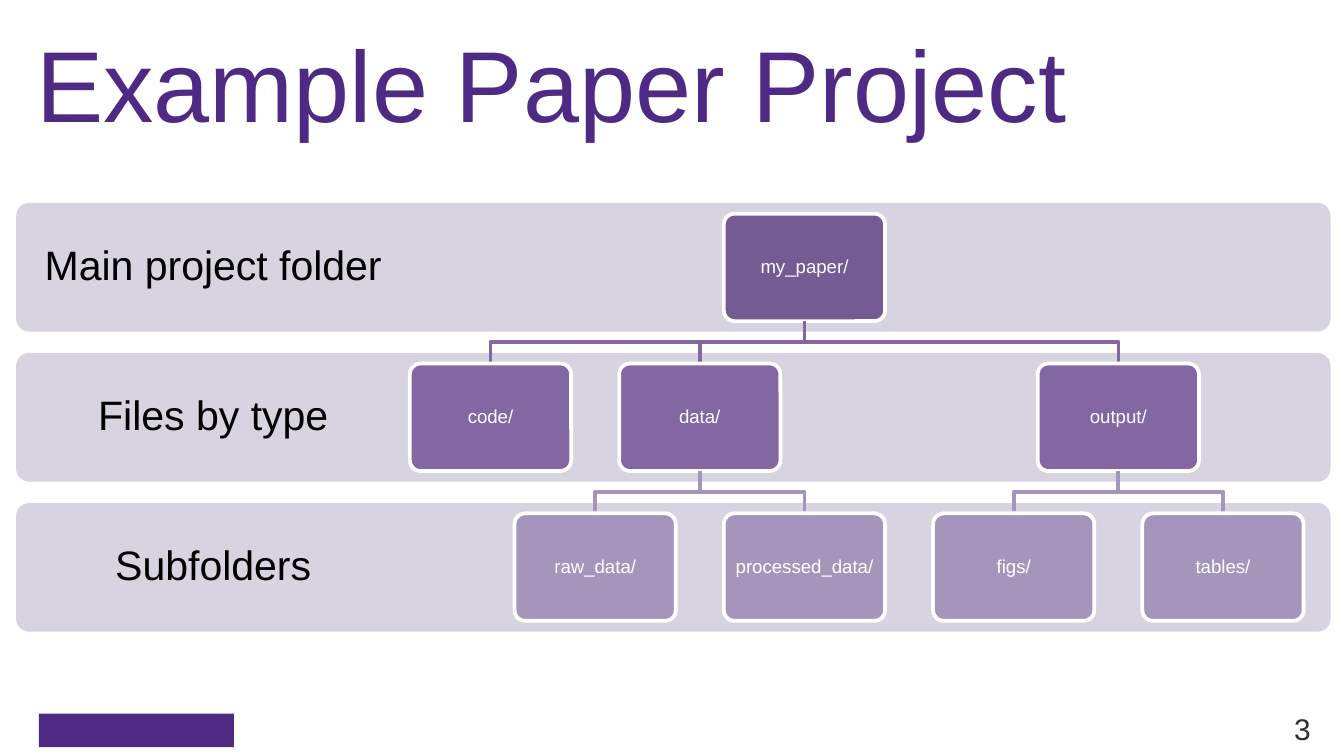
import pptx
import pptx.dml.color
import pptx.enum.shapes
import pptx.enum.text
import pptx.util

COLORS = {
    "brand": "4E2A84", "band": "D8D3E0", "number": "342F2E",
    "label": "000000", "white": "FFFFFF",
}
LEVEL_COLORS = ["745B93", "8267A3", "A496BA"]
FONT = "Arial"
SLIDE_WIDTH = 10
SLIDE_HEIGHT = SLIDE_WIDTH * 9 / 16

LEVELS = ["Main project folder", "Files by type", "Subfolders"]
PROJECT = ("my_paper/", 3, [
    ("code/", 0, []),
    ("data/", 2, [("raw_data/", 1, []), ("processed_data/", 3, [])]),
    ("output/", 6, [("figs/", 5, []), ("tables/", 7, [])]),
])
COLUMNS = 8
LABEL_SHARE = 0.3
BAND_SHARE = 0.3
FOLDER_WIDTH, FOLDER_HEIGHT = 1.2, 0.8

ALIGN = pptx.enum.text.PP_ALIGN
ANCHOR = pptx.enum.text.MSO_ANCHOR
SHAPES = pptx.enum.shapes.MSO_SHAPE
inches = pptx.util.Inches


def rgb(color):
    """Turn a hex string into a colour."""
    return pptx.dml.color.RGBColor.from_string(color)


def write(shape, text, size, color, align, anchor, insets, spacing=None):
    """Set one run of text inside a shape."""
    frame = shape.text_frame
    frame.word_wrap = True
    frame.vertical_anchor = anchor
    frame.margin_left, frame.margin_top, frame.margin_right, frame.margin_bottom = map(inches, insets)
    paragraph = frame.paragraphs[0]
    paragraph.alignment = align
    paragraph.line_spacing = spacing
    run = paragraph.add_run()
    run.text = text
    run.font.size = pptx.util.Pt(size)
    run.font.name = FONT
    run.font.color.rgb = rgb(color)


def add_block(slide, kind, box, fill, outline=None):
    """Add a filled shape, rounded by a tenth where its kind allows."""
    block = slide.shapes.add_shape(kind, *map(inches, box))
    block.shadow.inherit = False
    block.fill.solid()
    block.fill.fore_color.rgb = rgb(fill)
    if kind == SHAPES.ROUNDED_RECTANGLE:
        block.adjustments[0] = 0.1
    if outline:
        block.line.color.rgb = rgb(outline)
        block.line.width = pptx.util.Pt(2)
    else:
        block.line.fill.background()
    return block


def add_title(slide, box):
    """Place the slide title."""
    title = slide.shapes.add_textbox(*map(inches, box))
    write(title, "Example Paper Project", 54, COLORS["brand"], ALIGN.LEFT, ANCHOR.TOP,
          (0.1, 0.05, 0.1, 0.05))


def add_footer(slide, box):
    """Place the brand bar at the left and the page number at the right."""
    left, top, width, height = box
    bar_height, number_width = 0.25, 0.87
    add_block(slide, SHAPES.RECTANGLE, (left, top + 0.09, 1.45, bar_height), COLORS["brand"])
    number = slide.shapes.add_textbox(
        *map(inches, (left + width - number_width, top, number_width, height)))
    write(number, "3", 16, COLORS["number"], ALIGN.RIGHT, ANCHOR.MIDDLE, (0.1, 0.05, 0.1, 0.05))


def add_bands(slide, box):
    """Draw one labelled band for each folder level."""
    left, top, width, height = box
    band_height = BAND_SHARE * height
    pitch = (height - band_height) / (len(LEVELS) - 1)
    for level, name in enumerate(LEVELS):
        band_top = top + level * pitch
        add_block(slide, SHAPES.ROUNDED_RECTANGLE, (left, band_top, width, band_height), COLORS["band"])
        label = slide.shapes.add_textbox(
            *map(inches, (left, band_top, LABEL_SHARE * width, band_height)))
        write(label, name, 22, COLORS["label"], ALIGN.CENTER, ANCHOR.MIDDLE, (0.17,) * 4, 0.9)


def add_branch(slide, start, end, color):
    """Draw an elbow line from a parent folder down to a child folder."""
    middle = (start[1] + end[1]) / 2
    points = [start, (start[0], middle), (end[0], middle), end]
    corners = [(inches(x), inches(y)) for x, y in points]
    builder = slide.shapes.build_freeform(*corners[0])
    builder.add_line_segments(corners[1:], close=False)
    branch = builder.convert_to_shape()
    branch.shadow.inherit = False
    branch.fill.background()
    branch.line.color.rgb = rgb(color)
    branch.line.width = pptx.util.Pt(2)


def add_folder(slide, box, folder, level=0, parent_foot=None):
    """Draw a folder on the column grid of the box, then its subfolders."""
    name, column, children = folder
    left, top, width, height = box
    column_pitch = (width - FOLDER_WIDTH) / (COLUMNS - 1)
    row_pitch = (height - FOLDER_HEIGHT) / (len(LEVELS) - 1)
    folder_left = left + column * column_pitch
    folder_top = top + level * row_pitch
    center = folder_left + FOLDER_WIDTH / 2
    color = LEVEL_COLORS[level]
    if parent_foot:
        add_branch(slide, parent_foot, (center, folder_top), color)
    card = add_block(slide, SHAPES.ROUNDED_RECTANGLE,
                     (folder_left, folder_top, FOLDER_WIDTH, FOLDER_HEIGHT), color, COLORS["white"])
    write(card, name, 10, COLORS["white"], ALIGN.CENTER, ANCHOR.MIDDLE, (0.04,) * 4, 0.9)
    for child in children:
        add_folder(slide, box, child, level + 1, (center, folder_top + FOLDER_HEIGHT))


def main():
    """Build the slide and save it."""
    presentation = pptx.Presentation()
    presentation.slide_width = inches(SLIDE_WIDTH)
    presentation.slide_height = inches(SLIDE_HEIGHT)
    slide = presentation.slides.add_slide(presentation.slide_layouts[6])
    add_footer(slide, (0.29, 5.22, 9.56, 0.4))
    add_title(slide, (0.17, 0.11, 9.67, 1.25))
    add_bands(slide, (0.12, 1.51, 9.78, 3.19))
    add_folder(slide, (3.05, 1.59, 6.65, 3.03), PROJECT)
    presentation.save("out.pptx")


if __name__ == "__main__":
    main()
